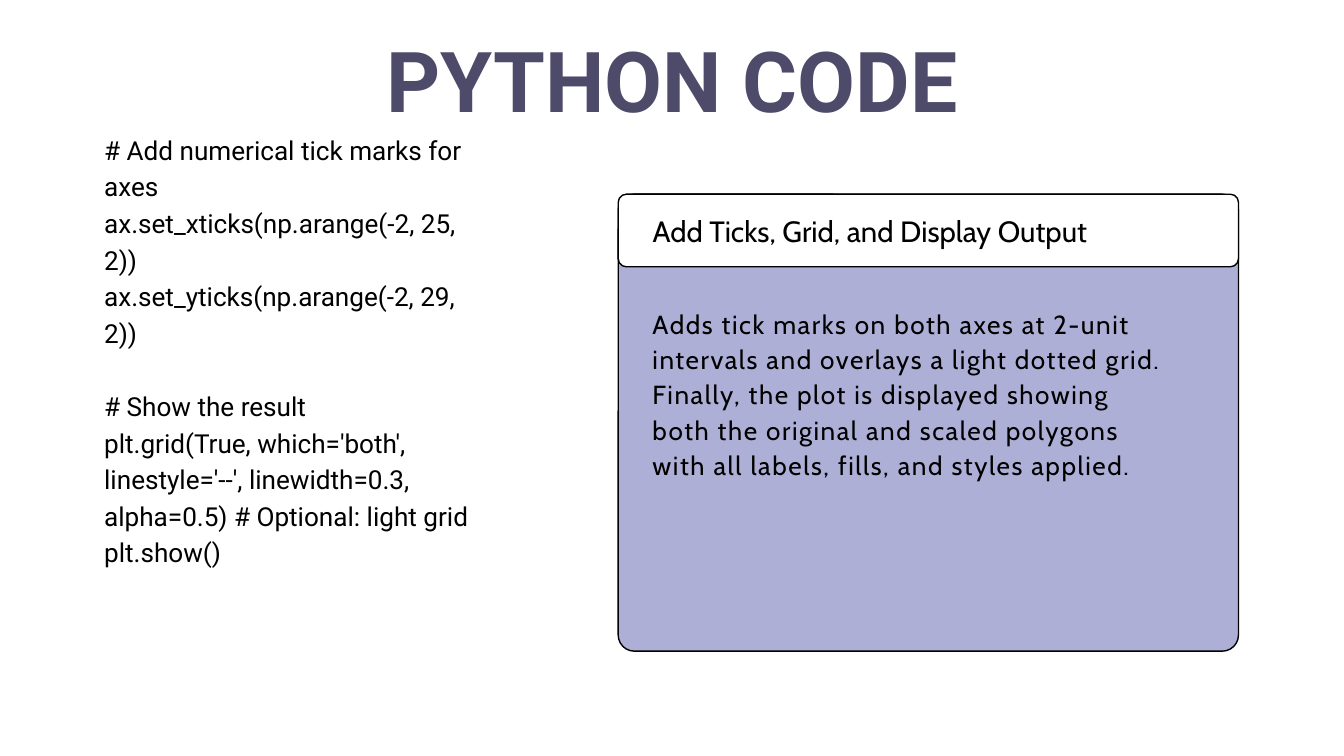
from pptx import Presentation
from pptx import util as u
from pptx.dml.color import RGBColor
from pptx.enum import shapes, text

BLACK = RGBColor(0x00, 0x00, 0x00)
WHITE = RGBColor(0xFF, 0xFF, 0xFF)
LILAC = RGBColor(0xAE, 0xAF, 0xD6)
PLUM = RGBColor(0x4E, 0x4A, 0x69)

deck = Presentation()
deck.slide_width, deck.slide_height = u.Inches(20), u.Inches(11.25)
slide = deck.slides.add_slide(deck.slide_layouts[6])


def add_text(box, lines, pitch, look, color=BLACK, track=0):
    """Add a text box; pitch is the line height and track the letter spacing, in points."""
    frame = slide.shapes.add_textbox(*map(u.Inches, box)).text_frame
    frame.word_wrap = True
    for side in ("left", "top", "right", "bottom"):
        setattr(frame, f"margin_{side}", 0)
    for i, line in enumerate(lines):
        para = frame.paragraphs[0] if i == 0 else frame.add_paragraph()
        para.line_spacing = u.Pt(pitch)
        run = para.add_run()
        run.text = line
        for key, value in look.items():
            setattr(run.font, key, value)
        run.font.color.rgb = color
        if track:
            run.font._element.set("spc", str(round(track * 100)))
    return frame.paragraphs


# Code listing, with one line of space above its second part
code = [
    "# Add numerical tick marks for axes",
    "ax.set_xticks(np.arange(-2, 25, 2))",
    "ax.set_yticks(np.arange(-2, 29, 2))",
    "# Show the result",
    "plt.grid(True, which='both', linestyle='--', linewidth=0.3, "
    "alpha=0.5) # Optional: light grid",
    "plt.show()",
]
paras = add_text((1.55, 1.92, 5.59, 7.59), code, 39.2,
                 {"name": "Roboto", "size": u.Pt(28)})
paras[3].space_before = u.Pt(39.2)

# Card: body, then header strip on top
for high, round_by, fill in ((6.8, 0.24, LILAC), (1.08, 0.12, WHITE)):
    card = slide.shapes.add_shape(
        shapes.MSO_SHAPE.ROUNDED_RECTANGLE,
        *map(u.Inches, (9.2, 2.89, 9.23, high)))
    card.adjustments[0] = round_by / high
    card.shadow.inherit = False
    card.fill.solid()
    card.fill.fore_color.rgb = fill
    card.line.color.rgb = BLACK
    card.line.width = u.Pt(1.5)

add_text((9.71, 3.19, 8.31, 0.51), ["Add Ticks, Grid, and Display Output"],
         36.7, {"name": "Cabin", "size": u.Pt(31.4)})

notes = [
    "Adds tick marks on both axes at 2-unit intervals and overlays "
    "a light dotted grid.",
    "Finally, the plot is displayed showing both the original and scaled "
    "polygons with all labels, fills, and styles applied.",
]
add_text((9.71, 4.53, 7.56, 3.63), notes, 37.8,
         {"name": "Cabin", "size": u.Pt(28)}, track=1.7)

# Title
title = add_text((4.85, 0.17, 10.31, 1.71), ["PYTHON CODE"], 126,
                 {"name": "Roboto", "size": u.Pt(90), "bold": True}, PLUM)
title[0].alignment = text.PP_ALIGN.CENTER

deck.save("out.pptx")
